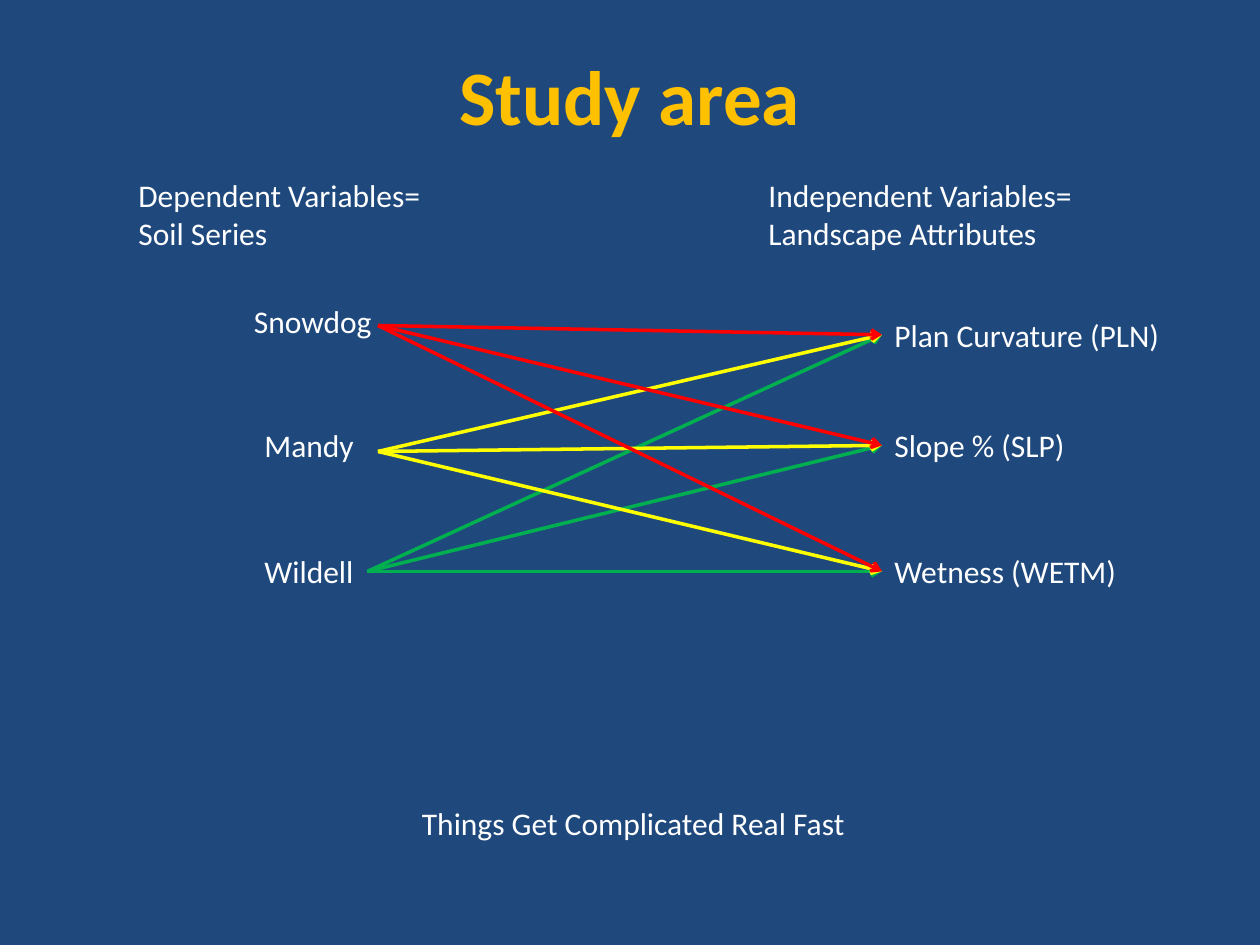
"""Build the study area slide linking soil series to landscape attributes."""
from dataclasses import dataclass

import lxml.etree
import pptx
import pptx.dml.color
import pptx.enum.shapes
import pptx.enum.text
import pptx.oxml.ns
import pptx.util

Pt = pptx.util.Pt
RGB = pptx.dml.color.RGBColor.from_string
ALIGN = pptx.enum.text.PP_ALIGN
ANCHOR = pptx.enum.text.MSO_ANCHOR
AUTO_SIZE = pptx.enum.text.MSO_AUTO_SIZE
LEFT_SIDE, RIGHT_SIDE = 1, 3


@dataclass(frozen=True)
class Theme:
    """Colours, font and type sizes of the slide."""
    background: str = "1F497D"
    title: str = "FFC000"
    body: str = "FFFFFF"
    snowdog: str = "FF0000"
    mandy: str = "FFFF00"
    wildell: str = "00B050"
    font: str = "Calibri"
    title_size: int = 44
    body_size: int = 18
    line_width: int = 2


def apply(target, formats):
    """Set every attribute in formats on target."""
    for name, value in formats.items():
        setattr(target, name, value)


class SlideBuilder:
    """Hold the theme and the current slide, and add elements to it."""

    def __init__(self, slide, theme):
        """Keep the slide and theme, and paint the background."""
        self.slide, self.theme = slide, theme
        slide.background.fill.solid()
        slide.background.fill.fore_color.rgb = RGB(theme.background)

    def text(self, lines, box, frame_formats, font_formats, colour, align):
        """Add a text box with one paragraph for each line."""
        shape = self.slide.shapes.add_textbox(*map(Pt, box))
        frame = shape.text_frame
        apply(frame, frame_formats)
        frame.text = "\n".join(lines)
        for paragraph in frame.paragraphs:
            paragraph.alignment = align
            font = paragraph.runs[0].font
            apply(font, {"name": self.theme.font, **font_formats})
            font.color.rgb = RGB(colour)
        return shape

    def title(self, wording, box):
        """Add the centred slide title."""
        return self.text(
            [wording], box,
            {"word_wrap": True, "vertical_anchor": ANCHOR.MIDDLE},
            {"size": Pt(self.theme.title_size), "bold": True},
            self.theme.title, ALIGN.CENTER)

    def label(self, lines, left, top, width):
        """Add a body label whose height follows its line count."""
        height = 7.4 + 21.6 * len(lines)
        return self.text(
            lines, (left, top, width, height),
            {"word_wrap": False, "auto_size": AUTO_SIZE.SHAPE_TO_FIT_TEXT},
            {"size": Pt(self.theme.body_size)},
            self.theme.body, ALIGN.LEFT)

    def arrow(self, origin, target, colour, source=None):
        """Add an arrow to the left side of target, from source if given."""
        start = tuple(map(Pt, origin))
        arrow = self.slide.shapes.add_connector(
            pptx.enum.shapes.MSO_CONNECTOR.STRAIGHT, *start, *start)
        if source is not None:
            arrow.begin_connect(source, RIGHT_SIDE)
        arrow.end_connect(target, LEFT_SIDE)
        arrow.line.width = Pt(self.theme.line_width)
        arrow.line.color.rgb = RGB(colour)
        qn = pptx.oxml.ns.qn
        properties = arrow.line._get_or_add_ln()
        lxml.etree.SubElement(properties, qn("a:tailEnd"), type="arrow")
        lxml.etree.SubElement(properties.getparent(), qn("a:effectLst"))


def main():
    """Build and save the slide."""
    theme = Theme()
    deck = pptx.Presentation()
    apply(deck, {"slide_width": Pt(720), "slide_height": Pt(540)})
    builder = SlideBuilder(deck.slides.add_slide(deck.slide_layouts[6]), theme)

    builder.title("Study area", (36, 18, 648, 72))
    builder.label(["Dependent Variables=", "Soil Series"], 72, 97.2, 178)
    builder.label(["Independent Variables=", "Landscape Attributes"],
                  432, 97.2, 190)

    builder.label(["Snowdog"], 138, 169.2, 83)
    builder.label(["Mandy"], 144, 240, 66)
    wildell = builder.label(["Wildell"], 144, 312, 66)

    attributes = [
        builder.label([wording], 504, top, width)
        for wording, top, width in (
            ("Plan Curvature (PLN)", 176.8, 168),
            ("Slope % (SLP)", 240, 113),
            ("Wetness (WETM)", 312, 142.5),
        )
    ]

    for origin, colour, source in (
        ((210, 326.5), theme.wildell, wildell),
        ((216, 258), theme.mandy, None),
        ((216, 186), theme.snowdog, None),
    ):
        for attribute in attributes:
            builder.arrow(origin, attribute, colour, source)

    builder.label(["Things Get Complicated Real Fast"], 234, 456, 259)
    deck.save("out.pptx")


if __name__ == "__main__":
    main()
